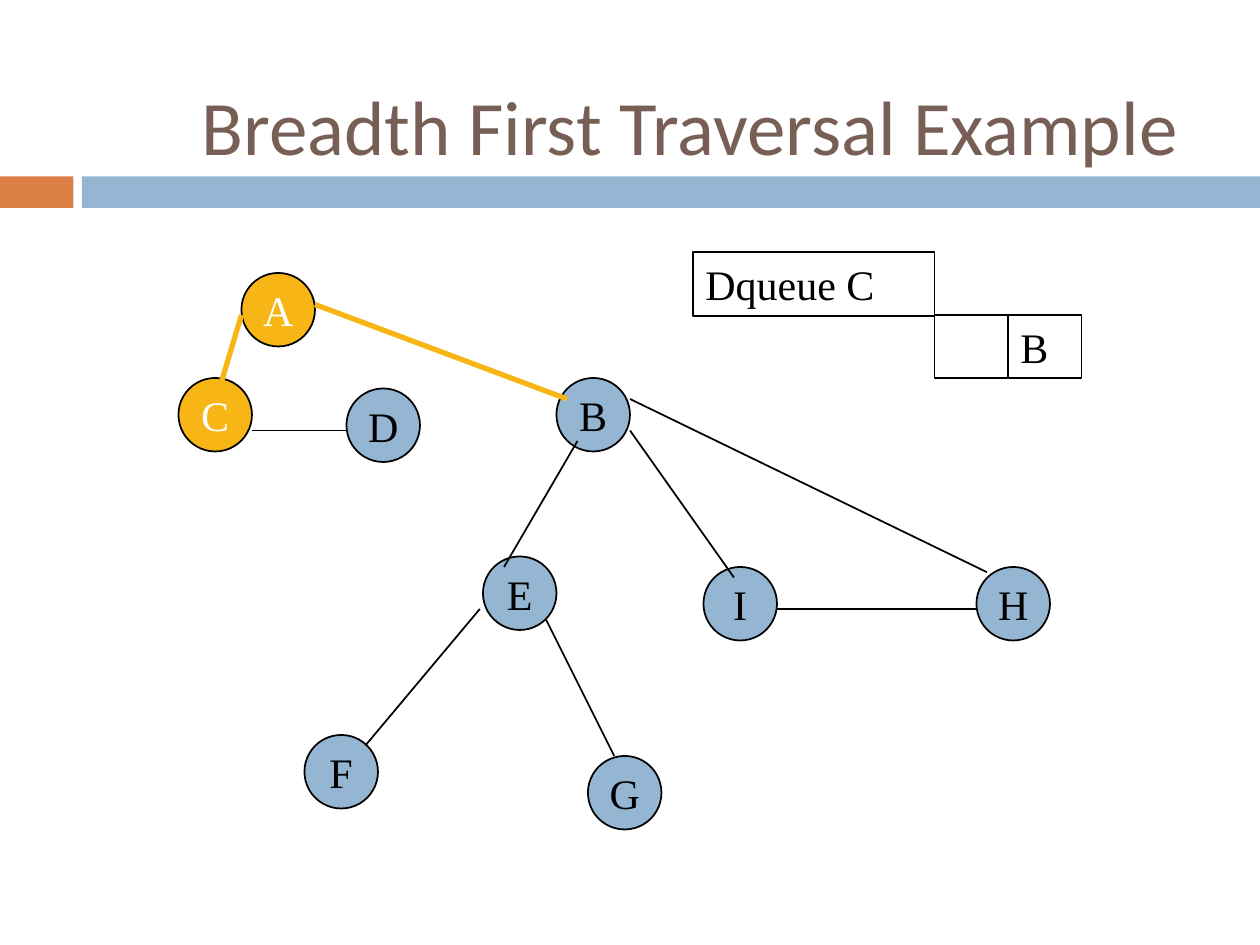
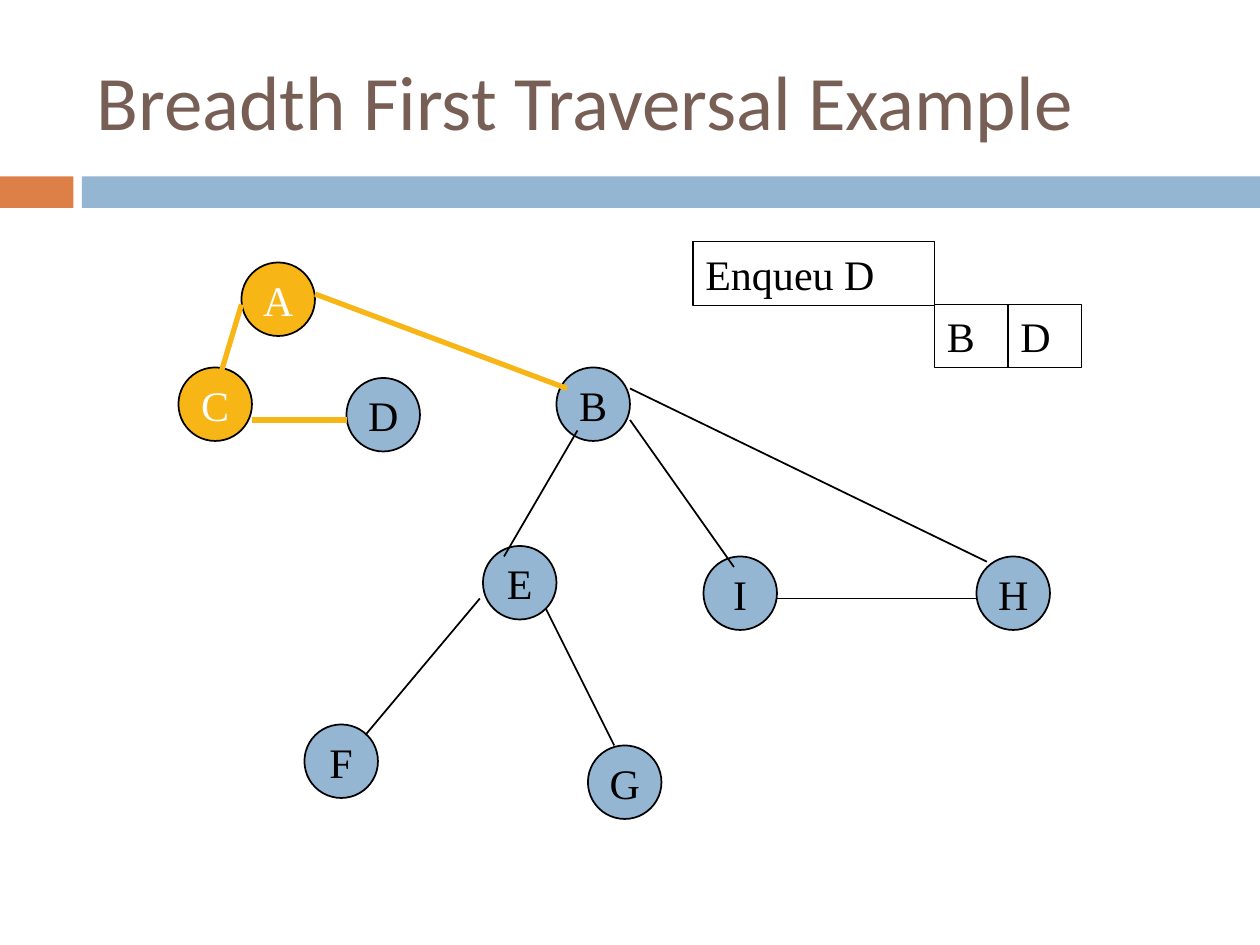
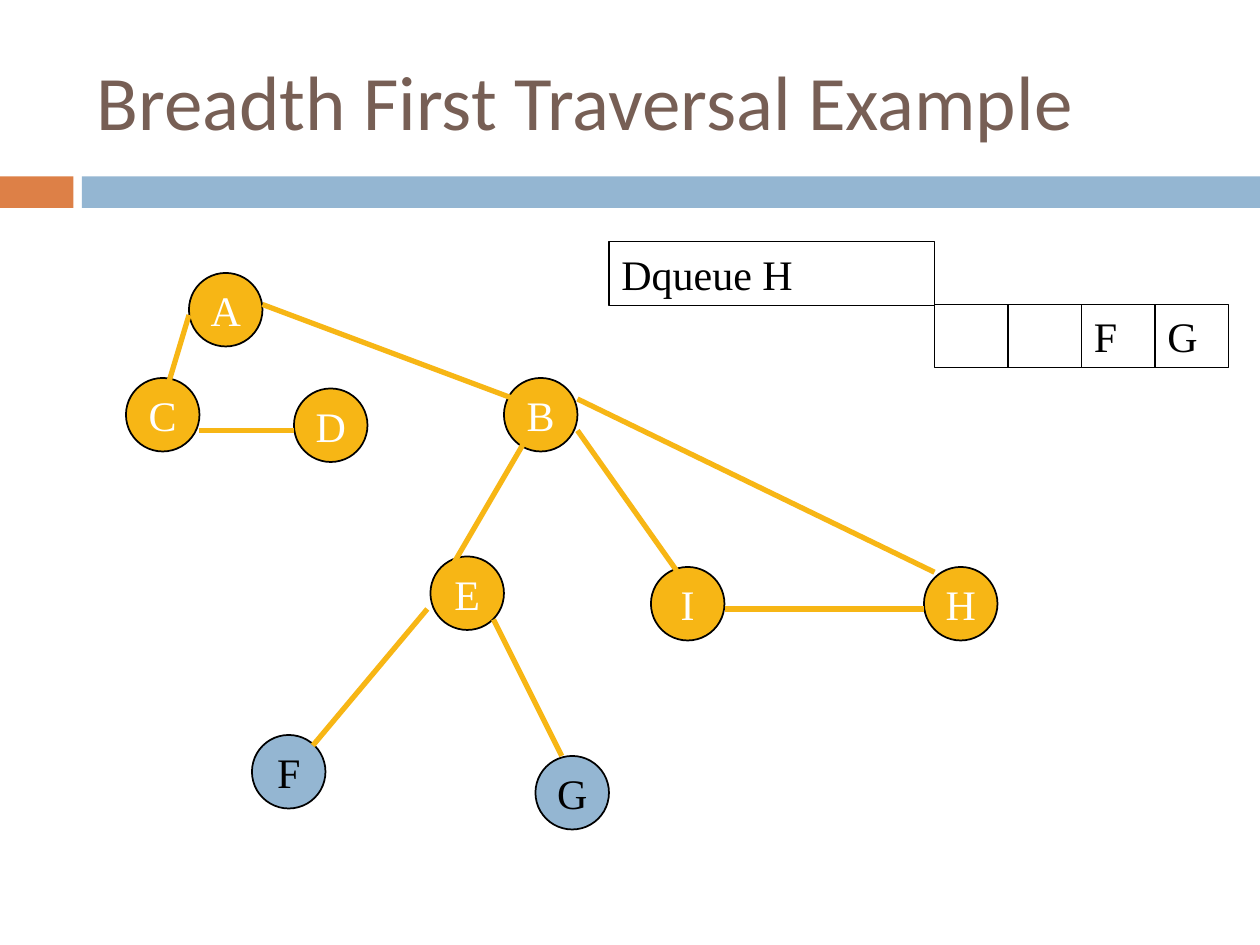
from dataclasses import dataclass

import pptx
import pptx.dml.color
import pptx.enum.shapes
import pptx.enum.text
import pptx.oxml
import pptx.oxml.ns
import pptx.util

SHAPE = pptx.enum.shapes.MSO_SHAPE
ALIGN = pptx.enum.text.PP_ALIGN
COLUMNS, ROWS = 120, 90
NODE_SIZE = 7
TITLE_ONLY = 5


@dataclass(frozen=True)
class Theme:
    heading: str = "775F55"
    accent: str = "DD8047"
    band: str = "94B6D2"
    waiting: str = "94B6D2"
    visited: str = "F7B615"
    ink: str = "000000"
    paper: str = "FFFFFF"
    title_font: str = "Calibri"
    body_font: str = "Times New Roman"
    title_size: float = 44
    body_size: float = 24
    hairline: float = 0.25
    box_line: float = 0.75
    thin_line: float = 1
    thick_line: float = 3


# Top left grid cell of each node.
NODES = {
    "A": (23, 26), "C": (17, 36), "D": (33, 37),
    "B": (53, 36), "E": (46, 53), "F": (29, 70),
    "G": (56, 72), "I": (67, 54), "H": (93, 54),
}

# Where each edge leaves and meets its nodes, measured from their top left.
EDGES = {
    "AC": ((0, 4), (3.9, 1)),
    "CD": ((7, 5), (0, 4)),
    "AB": ((7, 3), (1, 2)),
    "BE": ((2, 6), (2, 1)),
    "EF": ((-0.3, 5), (5.8, 1)),
    "EG": ((6, 6), (2.5, 0)),
    "BI": ((7, 5), (2.9, 1)),
    "BH": ((7, 2), (1, 0.5)),
    "IH": ((7, 4), (0, 4)),
}


def color(code):
    return pptx.dml.color.RGBColor.from_string(code)


class Deck:
    def __init__(self, theme):
        self.theme = theme
        self.presentation = pptx.Presentation()
        self.presentation.slide_width = pptx.util.Inches(10)
        self.presentation.slide_height = pptx.util.Inches(7.5)
        self.slide = None

    def x(self, column):
        return round(self.presentation.slide_width * column / COLUMNS)

    def y(self, row):
        return round(self.presentation.slide_height * row / ROWS)

    def box(self, left, top, width, height):
        return self.x(left), self.y(top), self.x(width), self.y(height)

    def new_slide(self, title, title_box):
        layout = self.presentation.slide_layouts[TITLE_ONLY]
        self.slide = self.presentation.slides.add_slide(layout)
        self.shape(SHAPE.RECTANGLE, (0, 16.8, 7, 3), self.theme.accent)
        self.shape(SHAPE.RECTANGLE, (7.8, 16.8, 112.2, 3), self.theme.band)
        heading = self.slide.shapes.title
        heading.left, heading.top, heading.width, heading.height = self.box(*title_box)
        self.set_text(heading, title, self.theme.title_font, self.theme.title_size,
                      self.theme.heading)

    def set_text(self, shape, text, font, size, ink, align=ALIGN.LEFT, wrap=True):
        frame = shape.text_frame
        frame.word_wrap = wrap
        frame.auto_size = pptx.enum.text.MSO_AUTO_SIZE.NONE
        frame.vertical_anchor = pptx.enum.text.MSO_ANCHOR.MIDDLE
        paragraph = frame.paragraphs[0]
        paragraph.alignment = align
        run = paragraph.add_run()
        run.text = text
        run.font.name = font
        run.font.size = pptx.util.Pt(size)
        run.font.color.rgb = color(ink)

    def shape(self, kind, box, fill, line_width=None):
        shape = self.slide.shapes.add_shape(kind, *self.box(*box))
        shape.shadow.inherit = False
        shape.fill.solid()
        shape.fill.fore_color.rgb = color(fill)
        if line_width:
            shape.line.color.rgb = color(self.theme.ink)
            shape.line.width = pptx.util.Pt(line_width)
        else:
            shape.line.fill.background()
        return shape

    def node(self, letter, column, row, visited):
        theme = self.theme
        circle = self.shape(SHAPE.OVAL, (column, row, NODE_SIZE, NODE_SIZE),
                            theme.visited if visited else theme.waiting, theme.thin_line)
        self.set_text(circle, letter, theme.body_font, theme.body_size,
                      theme.paper if visited else theme.ink, ALIGN.CENTER, wrap=False)

    def cell(self, text, box):
        """Draw one outlined box of the queue, which may be empty."""
        cell = self.shape(SHAPE.RECTANGLE, box, self.theme.paper, self.theme.box_line)
        if text:
            self.set_text(cell, text, self.theme.body_font, self.theme.body_size,
                          self.theme.ink)

    def edge(self, start, end, line_color, width):
        connector = self.slide.shapes.add_connector(
            pptx.enum.shapes.MSO_CONNECTOR.STRAIGHT,
            self.x(start[0]), self.y(start[1]), self.x(end[0]), self.y(end[1]))
        connector.line.color.rgb = color(line_color)
        connector.line.width = pptx.util.Pt(width)
        properties = connector.element.find(pptx.oxml.ns.qn("p:spPr"))
        properties.append(pptx.oxml.parse_xml(
            f'<a:effectLst {pptx.oxml.ns.nsdecls("a")}/>'))

    def tree(self, shift, visited, found, faint):
        """Draw the graph; found edges are thick and faint ones are hairlines."""
        theme = self.theme
        places = {letter: (column + shift[0], row + shift[1])
                  for letter, (column, row) in NODES.items()}
        for letter, place in places.items():
            self.node(letter, *place, letter in visited)
        for pair, offsets in EDGES.items():
            start, end = [(places[letter][0] + dx, places[letter][1] + dy)
                          for letter, (dx, dy) in zip(pair, offsets)]
            if pair in found:
                self.edge(start, end, theme.visited, theme.thick_line)
            else:
                self.edge(start, end, theme.ink,
                          theme.hairline if pair in faint else theme.thin_line)

    def queue(self, step, label_width, top, contents):
        """Draw the step label with the queue cells below its right end."""
        first_column, cell_height = 89, 6
        self.cell(step, (first_column - label_width, top, label_width, 6.1))
        for index, letter in enumerate(contents):
            self.cell(letter, (first_column + index * NODE_SIZE, top + cell_height,
                               NODE_SIZE, cell_height))


def main():
    deck = Deck(Theme())
    title = "Breadth First Traversal Example"
    title_box = (8, 3, 107, 13)

    deck.new_slide(title, (18, 4, 102, 15.8))
    deck.tree((0, 0), visited="AC", found=("AC", "AB"), faint=("CD",))
    deck.queue("Dqueue C", 23, 24, ("", "B"))

    deck.new_slide(title, title_box)
    deck.tree((0, -1), visited="AC", found=("AC", "CD", "AB"), faint=())
    deck.queue("Enqueu D", 23, 23, ("B", "D"))

    deck.new_slide(title, title_box)
    deck.queue("Dqueue H", 31, 23, ("", "", "F", "G"))
    deck.tree((-5, 0), visited="ACDBEIH", found=tuple(EDGES), faint=())

    deck.presentation.save("out.pptx")


if __name__ == "__main__":
    main()
